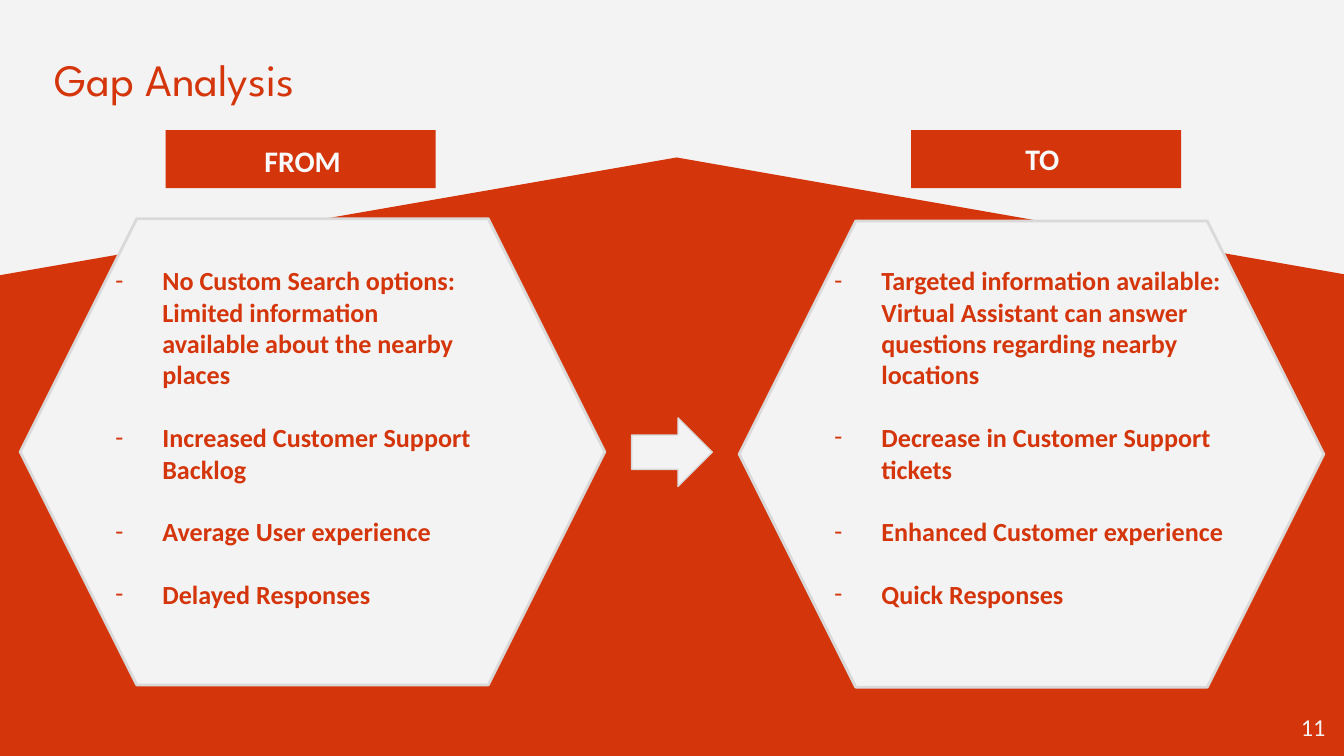
from dataclasses import dataclass
from lxml import etree
from pptx import Presentation
from pptx.dml.color import RGBColor
from pptx.enum.shapes import MSO_SHAPE
from pptx.enum.text import MSO_ANCHOR, PP_ALIGN
from pptx.oxml.ns import qn
from pptx.util import Pt

HEXAGON, ARROW, RECTANGLE = MSO_SHAPE.HEXAGON, MSO_SHAPE.RIGHT_ARROW, MSO_SHAPE.RECTANGLE
TOP, MIDDLE = MSO_ANCHOR.TOP, MSO_ANCHOR.MIDDLE
LEFT, RIGHT = PP_ALIGN.LEFT, PP_ALIGN.RIGHT


@dataclass(frozen=True)
class Theme:
    red: str = "D4350B"
    pale: str = "F3F3F3"
    edge: str = "D9D9D9"
    white: str = "F8FAFB"
    heading_font: str = "League Spartan"
    body_font: str = "Calibri"
    title_size: float = 24
    label_size: float = 16
    body_size: float = 14
    number_size: float = 13


THEME = Theme()
TITLE = "Gap Analysis"
PAGE_NUMBER = "11"
PANELS = [
    {
        "label": "FROM",
        "label_box": (134.6, 69.1, 65.5, 33.8),
        "banner_left": 88.7,
        "hexagon_at": (10.8, 117.2),
        "list_size": (218.2, 200.9),
        "points": [
            "No Custom Search options: Limited information available about the nearby places",
            "Increased Customer Support Backlog",
            "Average User experience",
            "Delayed Responses",
        ],
    },
    {
        "label": "TO",
        "label_box": (542.2, 68.3, 50.4, 33.8),
        "banner_left": 488.1,
        "hexagon_at": (396, 118.4),
        "list_size": (244.8, 218.2),
        "points": [
            "Targeted information available: Virtual Assistant can answer "
            "questions regarding nearby locations",
            "Decrease in Customer Support tickets",
            "Enhanced Customer experience",
            "Quick Responses",
        ],
    },
]
HEXAGON_SIZE = (313.2, 249.8)
BANNER_TOP, BANNER_SIZE = 69.8, (144.7, 31)
LIST_TOP, LIST_INSET = 134.6, 33.1
ROOF = [(-0.7, 147.6), (362.5, 84.4), (723.6, 147.6), (723.6, 408), (-5, 408)]


def color(value):
    return RGBColor.from_string(value)


def paint(shape, fill, line_width=0):
    shape.shadow.inherit = False
    shape.fill.solid()
    shape.fill.fore_color.rgb = color(fill)
    if line_width:
        shape.line.color.rgb = color(THEME.edge)
        shape.line.width = Pt(line_width)
    else:
        shape.line.fill.background()


def add_block(page, kind, area, fill, line_width=0):
    shape = page.shapes.add_shape(kind, *map(Pt, area))
    paint(shape, fill, line_width)


def add_dash(para):
    props = para._p.get_or_add_pPr()
    props.set("marL", str(Pt(36)))
    props.set("indent", str(Pt(-25.2)))
    tint = etree.SubElement(props, qn("a:buClr"))
    etree.SubElement(tint, qn("a:srgbClr"), val=THEME.red)
    etree.SubElement(props, qn("a:buFont"), typeface=THEME.body_font)
    etree.SubElement(props, qn("a:buChar"), char="-")


def add_text(page, text, area, size, ink, font=THEME.body_font, bold=False,
             align=LEFT, anchor=TOP, dashed=False, gap=0):
    box = page.shapes.add_textbox(*map(Pt, area))
    frame = box.text_frame
    frame.word_wrap = True
    frame.vertical_anchor = anchor
    frame.margin_left = frame.margin_right = Pt(7.2)
    frame.margin_top = frame.margin_bottom = Pt(7.2)
    for index, line in enumerate(text.split("\n")):
        para = frame.add_paragraph() if index else frame.paragraphs[0]
        para.alignment = align
        if dashed:
            add_dash(para)
        if index:
            para.space_before = Pt(gap)
        span = para.add_run()
        span.text = line
        span.font.name = font
        span.font.size = Pt(size)
        span.font.bold = bold
        span.font.color.rgb = color(ink)


def add_panel(page, panel):
    left, top = panel["hexagon_at"]
    add_block(page, HEXAGON, (left, top, *HEXAGON_SIZE), THEME.pale, 1.5)
    add_block(page, RECTANGLE, (panel["banner_left"], BANNER_TOP, *BANNER_SIZE), THEME.red)
    add_text(page, panel["label"], panel["label_box"], THEME.label_size, THEME.white, bold=True)
    add_text(page, "\n".join(panel["points"]), (left + LIST_INSET, LIST_TOP, *panel["list_size"]),
             THEME.body_size, THEME.red, bold=True, dashed=True, gap=16.8)


def main():
    deck = Presentation()
    deck.slide_width, deck.slide_height = Pt(720), Pt(405)
    page = deck.slides.add_slide(deck.slide_layouts[6])
    page.background.fill.solid()
    page.background.fill.fore_color.rgb = color(THEME.pale)

    corners = [(Pt(x), Pt(y)) for x, y in ROOF]
    outline = page.shapes.build_freeform(*corners[0])
    outline.add_line_segments(corners[1:], close=True)
    paint(outline.convert_to_shape(), THEME.red)

    add_text(page, TITLE, (22.3, 15.1, 624.2, 54), THEME.title_size, THEME.red,
             font=THEME.heading_font, anchor=MIDDLE)
    add_text(page, PAGE_NUMBER, (673.9, 373.7, 43.2, 31), THEME.number_size, THEME.pale,
             align=RIGHT, anchor=MIDDLE)
    for panel in PANELS:
        add_panel(page, panel)
    add_block(page, ARROW, (338.4, 223.9, 43.2, 36.7), THEME.pale, 0.75)
    deck.save("out.pptx")


if __name__ == "__main__":
    main()
